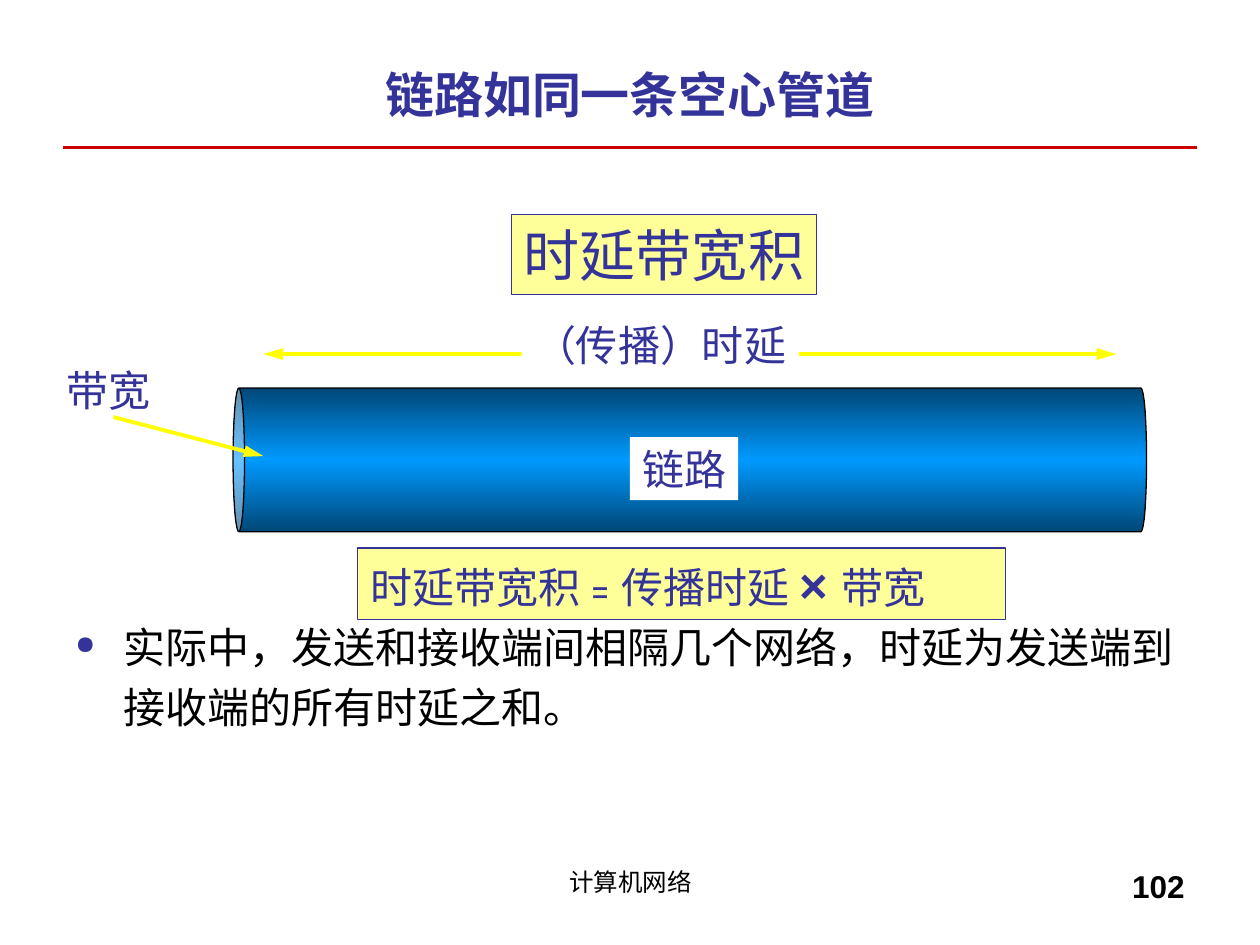
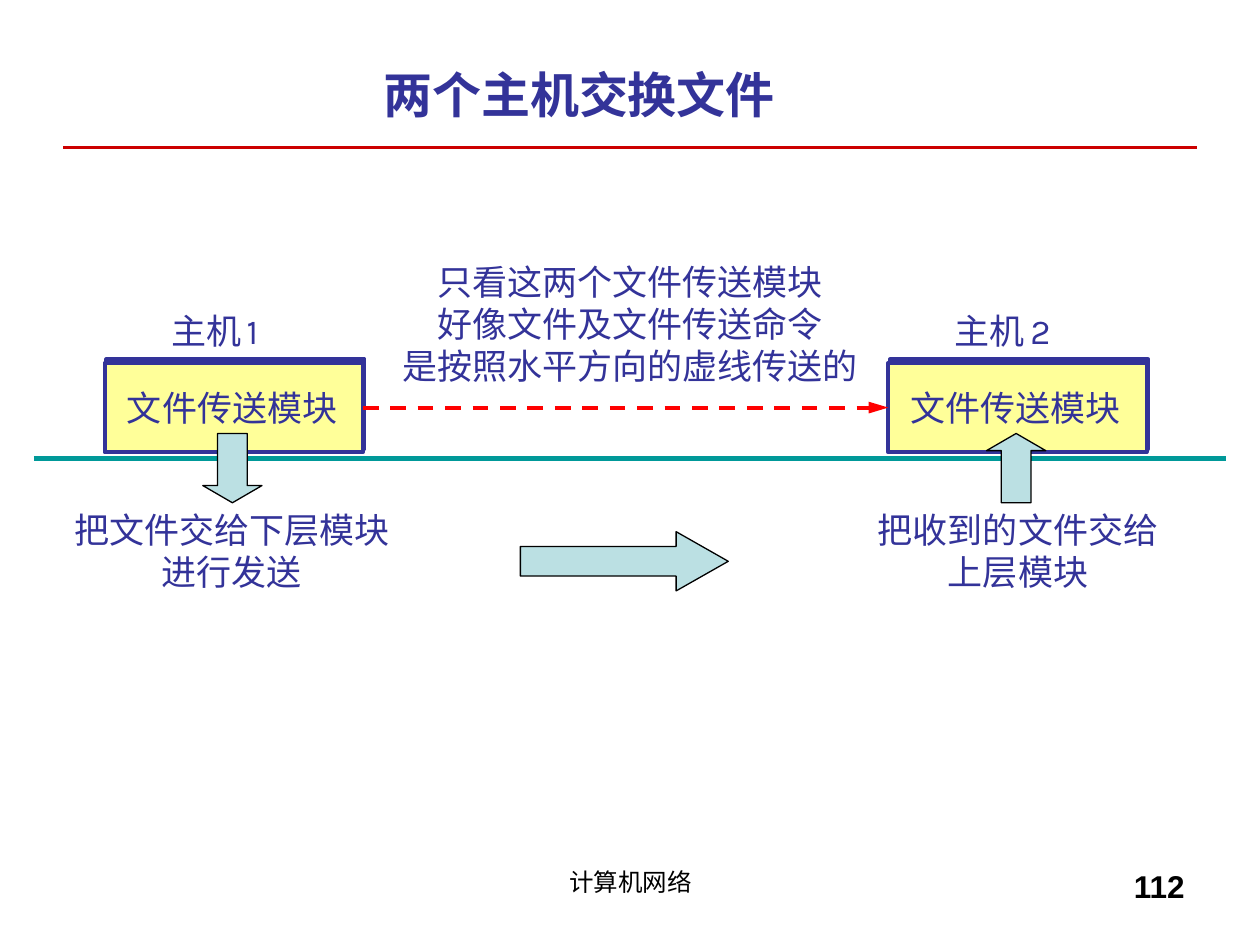
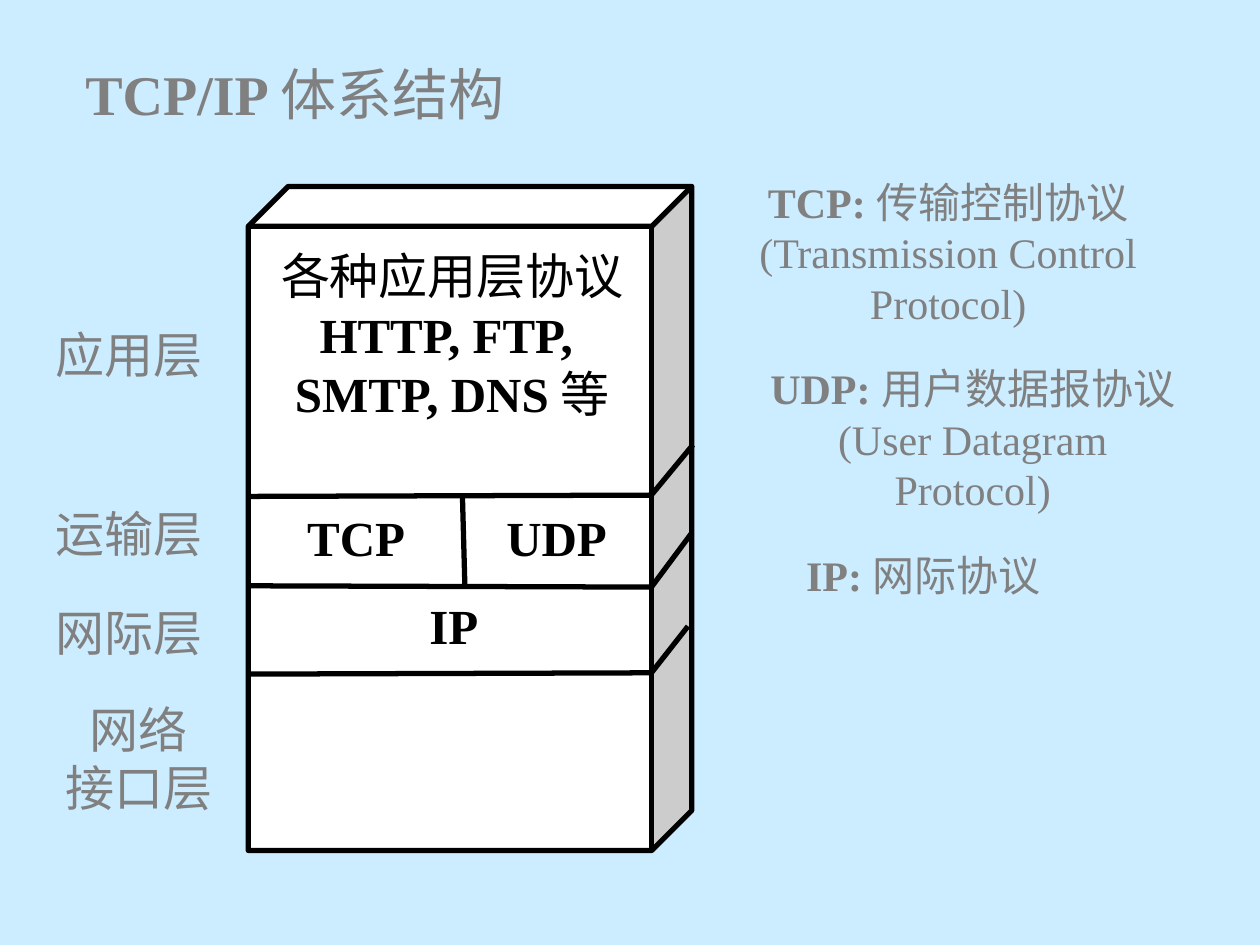
import copy
from dataclasses import dataclass, replace

import pptx
import pptx.dml.color
import pptx.enum.dml
import pptx.enum.shapes
import pptx.enum.text
import pptx.oxml
import pptx.oxml.ns
import pptx.util

SHAPE = pptx.enum.shapes.MSO_SHAPE
ALIGN = pptx.enum.text.PP_ALIGN
ANCHOR = pptx.enum.text.MSO_ANCHOR
DASH = pptx.enum.dml.MSO_LINE.DASH

# The slide is a grid of 10 columns by 7.5 rows of square cells
COLUMNS, ROWS = 10, 7.5
CELL = pptx.util.Inches(1)


@dataclass(frozen=True)
class Style:
    font: str
    size: float
    color: str
    bold: bool = False


@dataclass(frozen=True)
class Theme:
    """Colours, fonts and type sizes shared by the slides."""
    white: str = "FFFFFF"
    black: str = "000000"
    navy: str = "333399"
    red_rule: str = "CC0000"
    red: str = "FF0000"
    yellow: str = "FFFF00"
    cream: str = "FFFF99"
    teal: str = "009999"
    pale_teal: str = "BBE0E3"
    sky: str = "CCECFF"
    pipe_dark: str = "004776"
    pipe_light: str = "0099FF"
    east_asian: str = "Noto Sans CJK SC"
    thin: float = 0.75
    rule: float = 2
    medium: float = 2.25
    thick: float = 3
    title: Style = Style("Times New Roman", 28, "333399", True)
    body: Style = Style("Noto Sans CJK SC", 24, "000000")
    footer: Style = Style("Arial", 14, "000000")
    number: Style = Style("Arial", 18, "000000", True)
    headline: Style = Style("Karla", 32, "333399")
    label: Style = Style("Karla", 24, "333399")
    times: Style = Style("Arial", 28, "333399", True)
    small: Style = Style("Karla", 20, "333399")
    small_gap: Style = Style("Karla", 14, "333399")
    stack_title: Style = Style("Times New Roman", 32, "808080")
    layer: Style = Style("Times New Roman", 28, "808080")
    protocol: Style = Style("Times New Roman", 28, "000000")
    note: Style = Style("Times New Roman", 24, "808080")


THEME = Theme()


@dataclass(frozen=True)
class Box:
    """A region of the slide, measured in grid cells."""
    left: float
    top: float
    width: float
    height: float

    def inside(self, column, row, width, height):
        return Box(self.left + column, self.top + row, width, height)

    def point(self, column, row):
        return round((self.left + column) * CELL), round((self.top + row) * CELL)

    def emu(self):
        return [round(value * CELL) for value in (self.left, self.top, self.width, self.height)]


def bold(style):
    return replace(style, bold=True)


def rgb(color):
    return pptx.dml.color.RGBColor.from_string(color)


def add_xml(parent, tag, **attributes):
    element = pptx.oxml.parse_xml(f"<a:{tag} {pptx.oxml.ns.nsdecls('a')}/>")
    for name, value in attributes.items():
        element.set(name, str(value))
    parent.append(element)
    return element


def paint(shape, fill=None, line=None, width=THEME.thin):
    if fill:
        shape.fill.solid()
        shape.fill.fore_color.rgb = rgb(fill)
    else:
        shape.fill.background()
    if line:
        shape.line.color.rgb = rgb(line)
        shape.line.width = pptx.util.Pt(width)
    else:
        shape.line.fill.background()


def add_figure(slide, kind, box, fill, line=THEME.black, width=THEME.thin, adjustments=()):
    shape = slide.shapes.add_shape(kind, *box.emu())
    shape.shadow.inherit = False
    paint(shape, fill, line, width)
    for index, value in enumerate(adjustments):
        shape.adjustments[index] = value
    return shape


def add_line(slide, start, end, color, width, head=False, tail=False, dash=None):
    connector = slide.shapes.add_connector(
        pptx.enum.shapes.MSO_CONNECTOR.STRAIGHT, *start, *end)
    connector.line.color.rgb = rgb(color)
    connector.line.width = pptx.util.Pt(width)
    if dash:
        connector.line.dash_style = dash
    outline = connector.line._get_or_add_ln()
    for wanted, tag in ((head, "headEnd"), (tail, "tailEnd")):
        if wanted:
            add_xml(outline, tag, type="triangle", w="med", len="lg")
    add_xml(connector._element.spPr, "effectLst")
    return connector


def add_text(slide, box, paragraphs, align=ALIGN.LEFT, anchor=ANCHOR.TOP, tight=True,
             fill=None, line=None):
    """Each paragraph is a list of (text, style) runs.

    A tight box hugs its text, so its free side margins are given up to keep lines whole.
    """
    shape = slide.shapes.add_textbox(*box.emu())
    paint(shape, fill, line)
    frame = shape.text_frame
    frame.word_wrap = True
    frame.vertical_anchor = anchor
    if tight:
        frame.margin_right = 0
        if align == ALIGN.CENTER:
            frame.margin_left = 0
    for index, runs in enumerate(paragraphs):
        paragraph = frame.paragraphs[0] if index == 0 else frame.add_paragraph()
        paragraph.alignment = align
        for text, style in runs:
            run = paragraph.add_run()
            run.text = text
            run.font.name = style.font
            run.font.size = pptx.util.Pt(style.size)
            run.font.bold = style.bold
            run.font.color.rgb = rgb(style.color)
            add_xml(run.font._element, "ea", typeface=THEME.east_asian)
    return shape


def add_lines(slide, box, lines, style, **options):
    return add_text(slide, box, [[(line, style)] for line in lines], **options)


def new_slide(presentation, color):
    slide = presentation.slides.add_slide(presentation.slide_layouts[6])
    slide.background.fill.solid()
    slide.background.fill.fore_color.rgb = rgb(color)
    return slide


def add_lecture_frame(slide, page, title, number, title_width=9):
    """Title, red rule, footer and slide number."""
    add_line(slide, page.point(0.5, 1.17), page.point(9.5, 1.17), THEME.red_rule, THEME.rule)
    add_lines(slide, page.inside(3.42, 6.83, 3.17, 0.52), ["计算机网络"], THEME.footer,
              align=ALIGN.CENTER, tight=False)
    add_lines(slide, page.inside(7.17, 6.83, 2.33, 0.52), [number], THEME.number,
              align=ALIGN.RIGHT, tight=False)
    add_lines(slide, page.inside(0.5, 0.33, title_width, 0.83), [title], THEME.title,
              align=ALIGN.CENTER, anchor=ANCHOR.MIDDLE, tight=False)


# Slide 1: the link as a pipe
def add_bullet(slide, box, text):
    shape = add_lines(slide, box, [text], THEME.body, tight=False)
    paragraph = shape.text_frame.paragraphs[0]
    paragraph.line_spacing = 1.2
    properties = paragraph._p.get_or_add_pPr()
    indent = round(0.38 * CELL)
    properties.set("marL", str(indent))
    properties.set("indent", str(-indent))
    add_xml(add_xml(properties, "buClr"), "srgbClr", val=THEME.navy)
    add_xml(properties, "buSzPct", val=60000)
    add_xml(properties, "buChar", char="●")


def add_pipe(slide, box):
    """A can turned on its side so that it fills the box."""
    upright = box.inside((box.width - box.height) / 2, (box.height - box.width) / 2,
                         box.height, box.width)
    pipe = add_figure(slide, SHAPE.CAN, upright, THEME.pipe_light, adjustments=[0.08])
    pipe.rotation = 270
    pipe.fill.gradient()
    pipe.fill.gradient_angle = 0
    first = pipe.fill.gradient_stops[0]._gs
    first.addnext(copy.deepcopy(first))
    shades = [(0, THEME.pipe_dark), (0.5, THEME.pipe_light), (1, THEME.pipe_dark)]
    for stop, (position, color) in zip(pipe.fill.gradient_stops, shades):
        stop.position = position
        stop.color.rgb = rgb(color)


def add_link_diagram(slide, box):
    add_pipe(slide, box.inside(1.42, 1.38, 7.25, 1.14))
    add_line(slide, box.point(1.66, 1.11), box.point(8.43, 1.11), THEME.yellow, THEME.medium,
             head=True, tail=True)
    for text, column, row, width in [("（传播）时延", 3.71, 0.79, 2.2),
                                     ("链路", 4.57, 1.77, 0.86),
                                     ("带宽", 0, 1.14, 0.86)]:
        add_lines(slide, box.inside(column, row, width, 0.5), [text], THEME.label,
                  fill=THEME.white)
    add_line(slide, box.point(0.47, 1.61), box.point(1.66, 1.92), THEME.yellow, THEME.medium,
             tail=True)
    # Framed terms
    frame = {"fill": THEME.cream, "line": THEME.navy}
    add_lines(slide, box.inside(3.63, 0, 2.42, 0.64), ["时延带宽积"], THEME.headline, **frame)
    formula = [("时延带宽积 = 传播时延 ", THEME.label), ("× ", THEME.times), ("带宽", THEME.label)]
    add_text(slide, box.inside(2.41, 2.65, 5.14, 0.57), [formula], **frame)


def build_link_slide(presentation, page):
    slide = new_slide(presentation, THEME.white)
    add_lecture_frame(slide, page, "链路如同一条空心管道", "102")
    add_bullet(slide, page.inside(0.5, 4.8, 9, 1.89),
               "实际中，发送和接收端间相隔几个网络，时延为发送端到接收端的所有时延之和。")
    add_link_diagram(slide, page.inside(0.43, 1.7, 9.1, 3.22))


# Slide 2: two hosts exchanging files
def add_module(slide, box):
    module = add_figure(slide, SHAPE.RECTANGLE, box, THEME.cream, THEME.navy, THEME.medium)
    effects = module._element.spPr.find(pptx.oxml.ns.qn("a:effectLst"))
    shadow = add_xml(effects, "outerShdw", dist=pptx.util.Pt(2.2), dir=296 * 60000,
                     algn="ctr", rotWithShape=0)
    add_xml(shadow, "srgbClr", val=THEME.navy)
    return module


def add_host_labels(slide, box, number):
    add_lines(slide, box.inside(0.08, 0.14, 1.87, 0.44), ["文件传送模块"], THEME.small)
    name = [("主机", THEME.small), (" ", THEME.small_gap), (number, THEME.small)]
    add_text(slide, box.inside(0.43, -0.47, 1.06, 0.44), [name])


def add_exchange(slide, box):
    hosts = [box.inside(column, 0.86, 2.05, 0.71) for column in (0.56, 6.78)]
    modules = [add_module(slide, host) for host in hosts]
    for number, host in enumerate(hosts, 1):
        add_host_labels(slide, host, str(number))
    # Apparent horizontal transfer
    transfer = add_line(slide, box.point(2.61, 1.22), box.point(6.78, 1.22), THEME.red,
                        THEME.medium, tail=True, dash=DASH.DASH)
    transfer.begin_connect(modules[0], 3)
    transfer.end_connect(modules[1], 1)
    add_lines(slide, box.inside(2.82, 0, 3.82, 1.1),
              ["只看这两个文件传送模块", "好像文件及文件传送命令", "是按照水平方向的虚线传送的"],
              THEME.small, align=ALIGN.CENTER)
    # Layer boundary and the real path across it
    add_line(slide, box.point(0, 1.62), box.point(box.width, 1.62), THEME.teal, THEME.thick)
    for host, kind in zip(hosts, (SHAPE.DOWN_ARROW, SHAPE.UP_ARROW)):
        add_figure(slide, kind, host.inside(0.78, 0.56, 0.47, 0.55), THEME.pale_teal,
                   adjustments=[0.5, 0.29])
    for column, width, lines in [(0.22, 2.7, ["把文件交给下层模块", "进行发送"]),
                                 (6.6, 2.42, ["把收到的文件交给", "上层模块"])]:
        add_lines(slide, box.inside(column, 1.97, width, 0.77), lines, THEME.small,
                  align=ALIGN.CENTER)
    add_figure(slide, SHAPE.RIGHT_ARROW, box.inside(3.86, 2.2, 1.65, 0.47), THEME.pale_teal,
               adjustments=[0.5, 0.88])


def build_exchange_slide(presentation, page):
    slide = new_slide(presentation, THEME.white)
    add_lecture_frame(slide, page, "两个主机交换文件 ", "112", title_width=8.28)
    add_exchange(slide, page.inside(0.27, 2.02, 9.46, 2.74))


# Slide 3: the protocol stack
def add_stack(slide, box):
    add_figure(slide, SHAPE.CUBE, box, THEME.white, THEME.black, THEME.thick, [0.09])
    # Layer boundaries: across the side face, then across the front
    for back, back_row, fold_row, front_row in [(3.53, 2.05, 2.45, 2.46),
                                                (3.52, 2.75, 3.18, 3.17),
                                                (3.49, 3.49, 3.86, 3.87)]:
        builder = slide.shapes.build_freeform(*box.point(back, back_row))
        builder.add_line_segments([box.point(3.2, fold_row), box.point(0, front_row)],
                                  close=False)
        boundary = builder.convert_to_shape()
        boundary.shadow.inherit = False
        paint(boundary, None, THEME.black, THEME.thick)
    add_line(slide, box.point(1.7, 2.44), box.point(1.72, 3.18), THEME.black, THEME.thick)
    # Protocols in each layer
    style, strong = THEME.protocol, bold(THEME.protocol)
    add_text(slide, box.inside(0.16, 0.42, 2.92, 1.5),
             [[("各种应用层协议", style)], [("HTTP, FTP, ", strong)],
              [("SMTP, DNS ", strong), ("等", style)]], align=ALIGN.CENTER)
    for text, column, row, width in [("TCP", 0.37, 2.5, 0.97), ("UDP", 1.95, 2.5, 1),
                                     ("IP", 1.34, 3.2, 0.59)]:
        add_lines(slide, box.inside(column, row, width, 0.57), [text], strong)


def add_layer_names(slide, box):
    for text, row in [("应用层", 0), ("运输层", 1.42), ("网际层", 2.2)]:
        add_lines(slide, box.inside(0, row, 1.36, 0.57), [text], THEME.layer)
    add_lines(slide, box.inside(0.08, 2.97, 1.36, 1.04), ["网络", "接口层"], THEME.layer,
              align=ALIGN.CENTER)


def add_glossary(slide, box):
    entries = [
        (box.inside(0.21, 0, 3.21, 1.3), "TCP: ", "传输控制协议",
         ["(Transmission Control", "Protocol)"]),
        (box.inside(0, 1.48, 4.02, 1.3), "UDP: ", "用户数据报协议",
         ["(User Datagram", "Protocol)"]),
        (box.inside(0.59, 2.96, 2.14, 0.5), "IP: ", "网际协议", []),
    ]
    for place, term, meaning, full_name in entries:
        heading = [(term, bold(THEME.note)), (meaning, THEME.note)]
        add_text(slide, place, [heading] + [[(line, THEME.note)] for line in full_name],
                 align=ALIGN.CENTER if full_name else ALIGN.LEFT)


def build_stack_slide(presentation, page):
    slide = new_slide(presentation, THEME.sky)
    title = [("TCP/IP ", bold(THEME.stack_title)), ("体系结构", THEME.stack_title)]
    add_text(slide, page.inside(0.58, 0.42, 4.17, 0.64), [title], tight=False)
    add_stack(slide, page.inside(1.97, 1.48, 3.52, 5.27))
    add_layer_names(slide, page.inside(0.34, 2.53, 1.44, 4.01))
    add_glossary(slide, page.inside(5.71, 1.35, 4.02, 3.46))


def main():
    presentation = pptx.Presentation()
    presentation.slide_width = COLUMNS * CELL
    presentation.slide_height = round(ROWS * CELL)
    page = Box(0, 0, COLUMNS, ROWS)
    for build in (build_link_slide, build_exchange_slide, build_stack_slide):
        build(presentation, page)
    presentation.save("out.pptx")


if __name__ == "__main__":
    main()
